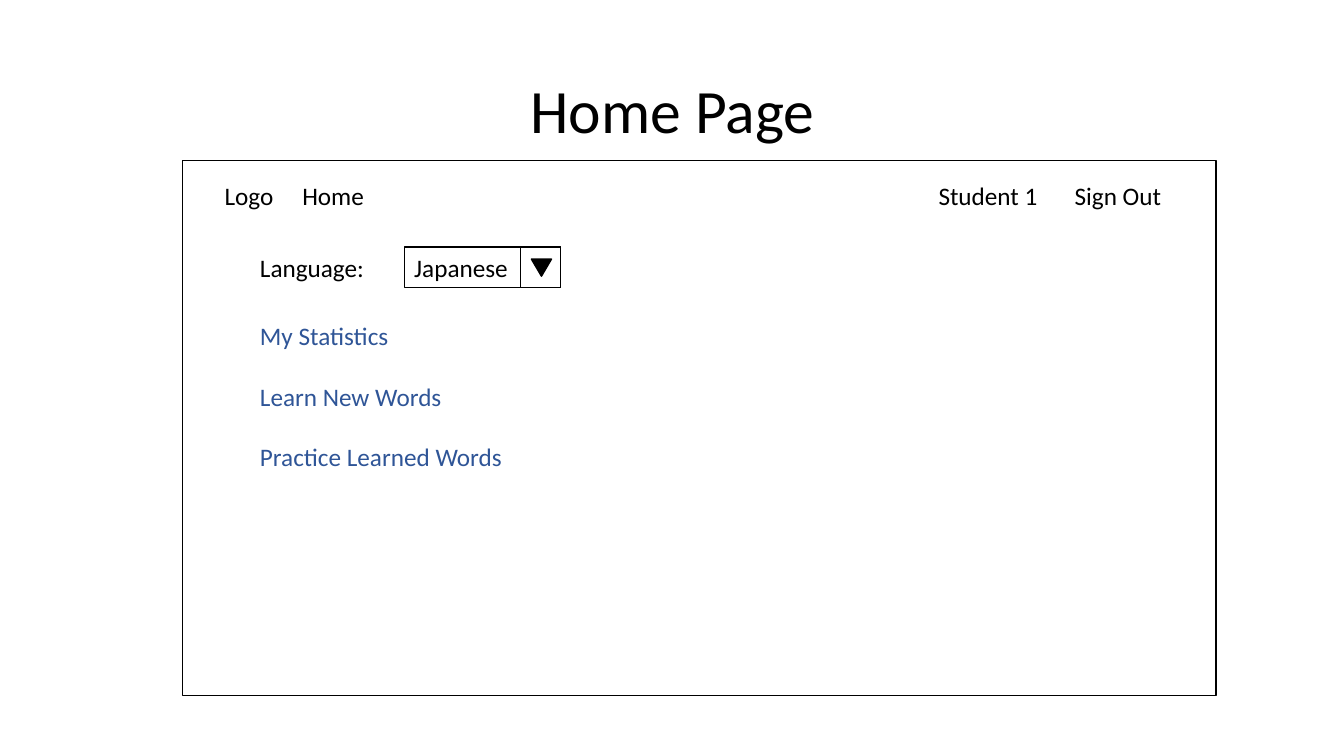
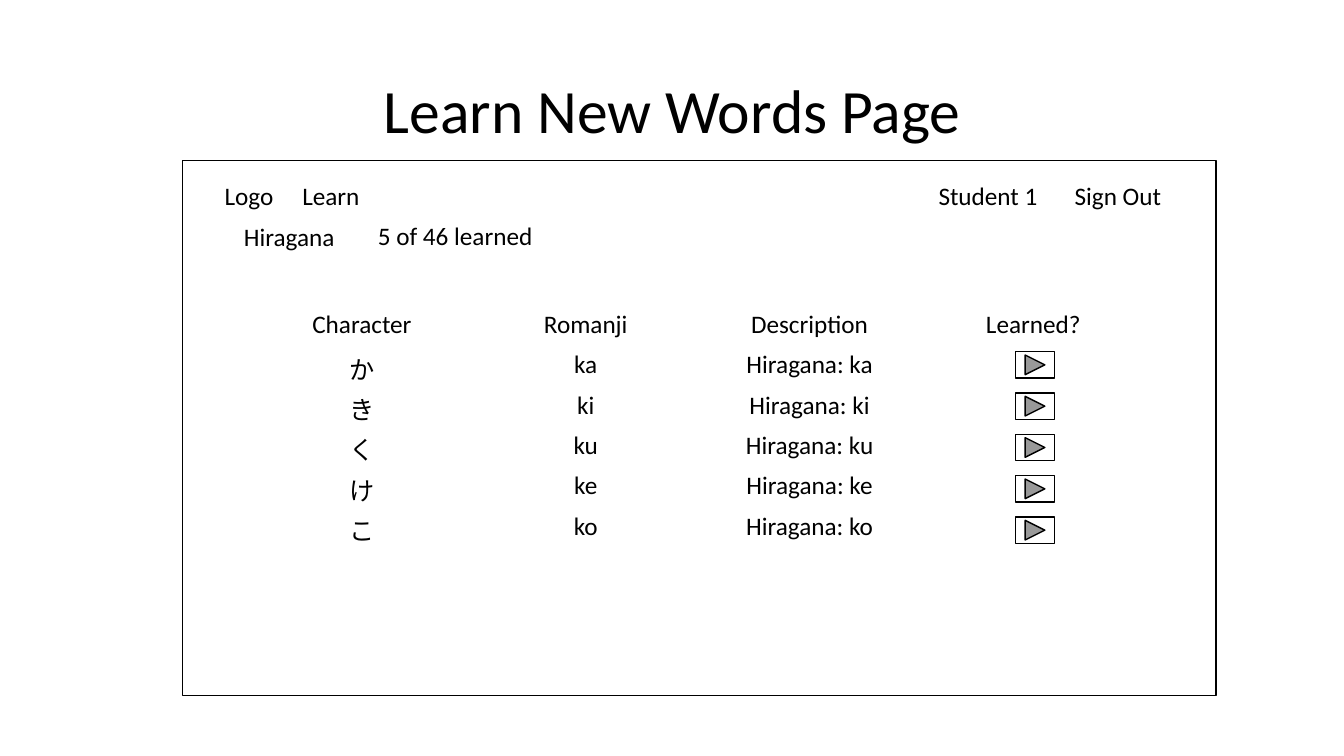
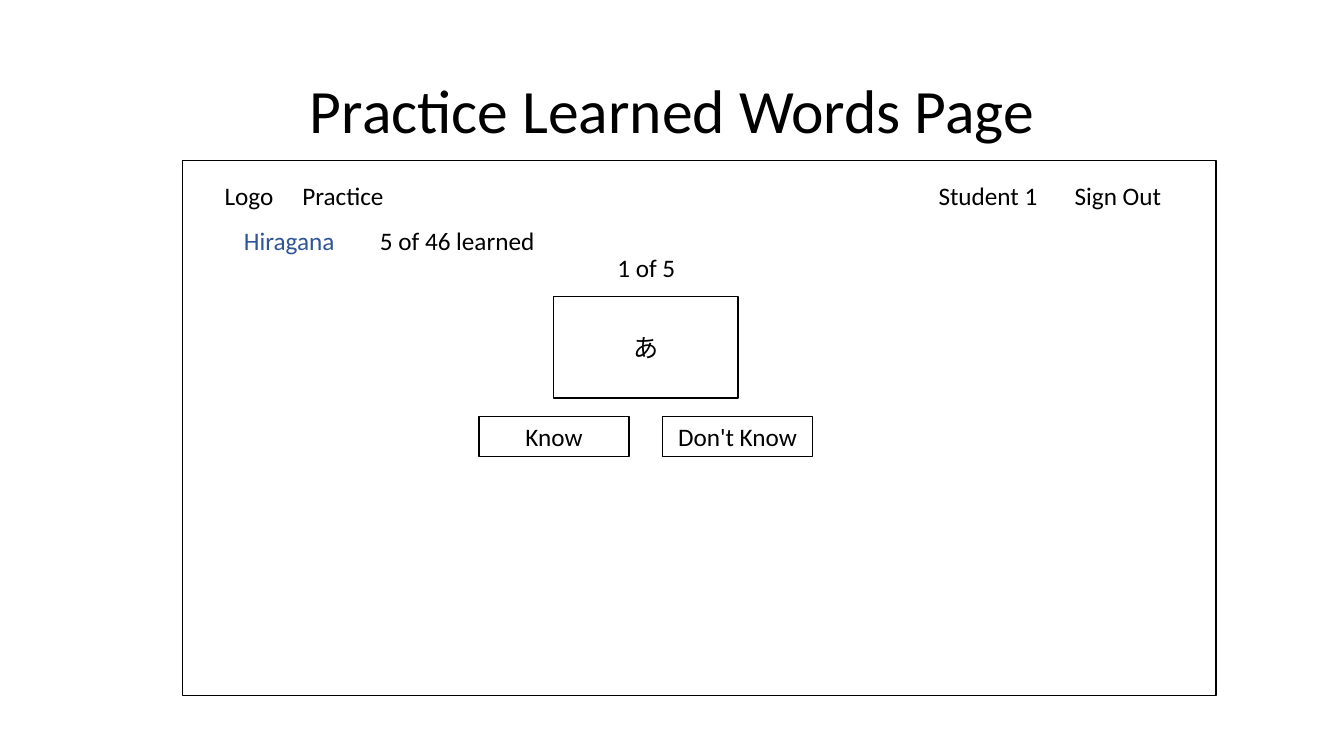
from pptx import Presentation
from pptx.dml.color import RGBColor
from pptx.enum.shapes import MSO_SHAPE
from pptx.enum.text import MSO_ANCHOR, MSO_AUTO_SIZE, PP_ALIGN
from pptx.util import Inches, Pt

BLACK, WHITE, LINK = "000000", "FFFFFF", "2F5597"
LEFT, CENTER = PP_ALIGN.LEFT, PP_ALIGN.CENTER
ROW = 0.4
FRAME_LEFT, FRAME_TOP, FRAME_WIDTH, FRAME_HEIGHT = 1.81, 1.59, 10.25, 5.31
CONTENT_LEFT = 2.48
HEADER_TOP = FRAME_TOP + 0.15
RECTANGLE = MSO_SHAPE.RECTANGLE


def write_text(frame, text, color=BLACK, align=LEFT, size=18):
    """Put one formatted paragraph into a text frame."""
    frame.text = text
    paragraph = frame.paragraphs[0]
    paragraph.alignment = align
    font = paragraph.runs[0].font
    for name, value in {"name": "Calibri", "size": Pt(size), "bold": False}.items():
        setattr(font, name, value)
    font.color.rgb = RGBColor.from_string(color)
    return paragraph


def add_item(shapes, text, left, top, width, height=ROW, kind=None,
             fill=WHITE, color=BLACK, align=LEFT):
    """Add a text box, or an outlined shape when a kind is given."""
    place = [Inches(length) for length in (left, top, width, height)]
    if kind is None:
        shape = shapes.add_textbox(*place)
    else:
        shape = shapes.add_shape(kind, *place)
        shape.shadow.inherit = False
        shape.fill.solid()
        shape.fill.fore_color.rgb = RGBColor.from_string(fill)
        shape.line.color.rgb = RGBColor.from_string(BLACK)
        shape.line.width = Pt(1)
    if text:
        write_text(shape.text_frame, text, color, align)
        settings = {"word_wrap": True, "vertical_anchor": MSO_ANCHOR.MIDDLE}
        if kind is None:
            settings = {"word_wrap": True, "auto_size": MSO_AUTO_SIZE.SHAPE_TO_FIT_TEXT}
        for name, value in settings.items():
            setattr(shape.text_frame, name, value)
    return shape


presentation = Presentation()
presentation.slide_width, presentation.slide_height = Inches(13.33), Inches(7.5)
title_only = presentation.slide_layouts[5]

# Shared title, page frame and navigation
pages = []
for title_text, section in (
    ("Home Page", "Home"),
    ("Learn New Words Page", "Learn"),
    ("Practice Learned Words Page", "Practice"),
):
    slide = presentation.slides.add_slide(title_only)
    title = slide.shapes.title
    title_place = {"left": 0.92, "top": 0.4, "width": 11.5, "height": 1.45}
    for name, value in title_place.items():
        setattr(title, name, Inches(value))
    title.text_frame.vertical_anchor = MSO_ANCHOR.MIDDLE
    write_text(title.text_frame, title_text, align=CENTER, size=44).line_spacing = 0.9
    add_item(slide.shapes, "", FRAME_LEFT, FRAME_TOP, FRAME_WIDTH, FRAME_HEIGHT, RECTANGLE)
    for text, left, width, align in (
        ("Logo", 2.05, 0.84, CENTER),
        (section, 2.9, 1.17, LEFT),
        ("Student 1", 9.21, 1.25, LEFT),
        ("Sign Out", 10.56, 1.17, LEFT),
    ):
        add_item(slide.shapes, text, left, HEADER_TOP, width, align=align)
    pages.append(slide.shapes)
home, learn, practice = pages

# Home: language list and links
LIST_LEFT, LIST_TOP, LIST_WIDTH = 4.01, 2.45, 1.55
add_item(home, "Language:", CONTENT_LEFT, LIST_TOP, 1.38)
dropdown = home.add_group_shape().shapes
add_item(dropdown, "Japanese", LIST_LEFT, LIST_TOP, LIST_WIDTH, kind=RECTANGLE)
button_left = LIST_LEFT + LIST_WIDTH - ROW
add_item(dropdown, "", button_left, LIST_TOP, ROW, kind=RECTANGLE)
arrow = add_item(dropdown, "", button_left + 0.11, LIST_TOP + 0.12, 0.2, 0.17,
                 MSO_SHAPE.ISOSCELES_TRIANGLE, fill=BLACK)
arrow.rotation = 180
links = ("My Statistics", "Learn New Words", "Practice Learned Words")
for index, text in enumerate(links):
    add_item(home, text, CONTENT_LEFT, 3.13 + index * 0.6, 2.68, color=LINK)

# Learn and Practice: progress
for shapes, top, count_left, count_top, color in (
    (learn, 2.15, 3.65, 2.14, BLACK),
    (practice, 2.19, 3.67, 2.19, LINK),
):
    add_item(shapes, "Hiragana", 2.32, top, 1.35, color=color)
    add_item(shapes, "5 of 46 learned", count_left, count_top, 1.83)

# Learn: word table with one button per word
syllables = {"か": "ka", "き": "ki", "く": "ku", "け": "ke", "こ": "ko"}
rows = [("Character", "Romanji", "Description", "Learned?")]
rows += [(kana, sound, f"Hiragana: {sound}", "") for kana, sound in syllables.items()]
COLUMN = 2.22
table = learn.add_table(
    len(rows), len(rows[0]), Inches(CONTENT_LEFT), Inches(3.02),
    Inches(COLUMN * len(rows[0])), Inches(ROW * len(rows)),
).table
table.first_row = table.horz_banding = False
for row_index, row in enumerate(rows):
    for column_index, text in enumerate(row):
        cell = table.cell(row_index, column_index)
        cell.fill.background()
        if text:
            write_text(cell.text_frame, text, align=CENTER)
for index in range(len(syllables)):
    add_item(learn, "", 10.07, 3.49 + index * 0.41, 0.39, 0.26,
             MSO_SHAPE.ACTION_BUTTON_FORWARD_OR_NEXT)

# Practice: flash card and answers
add_item(practice, "あ", 5.49, 2.94, 1.83, 1.01, RECTANGLE, align=CENTER)
for index, answer in enumerate(("Know", "Don't Know")):
    add_item(practice, answer, 4.75 + index * 1.82, 4.13, 1.49,
             kind=RECTANGLE, align=CENTER)
add_item(practice, "1 of 5", 5.65, 2.45, 1.52, align=CENTER)

presentation.save("out.pptx")
